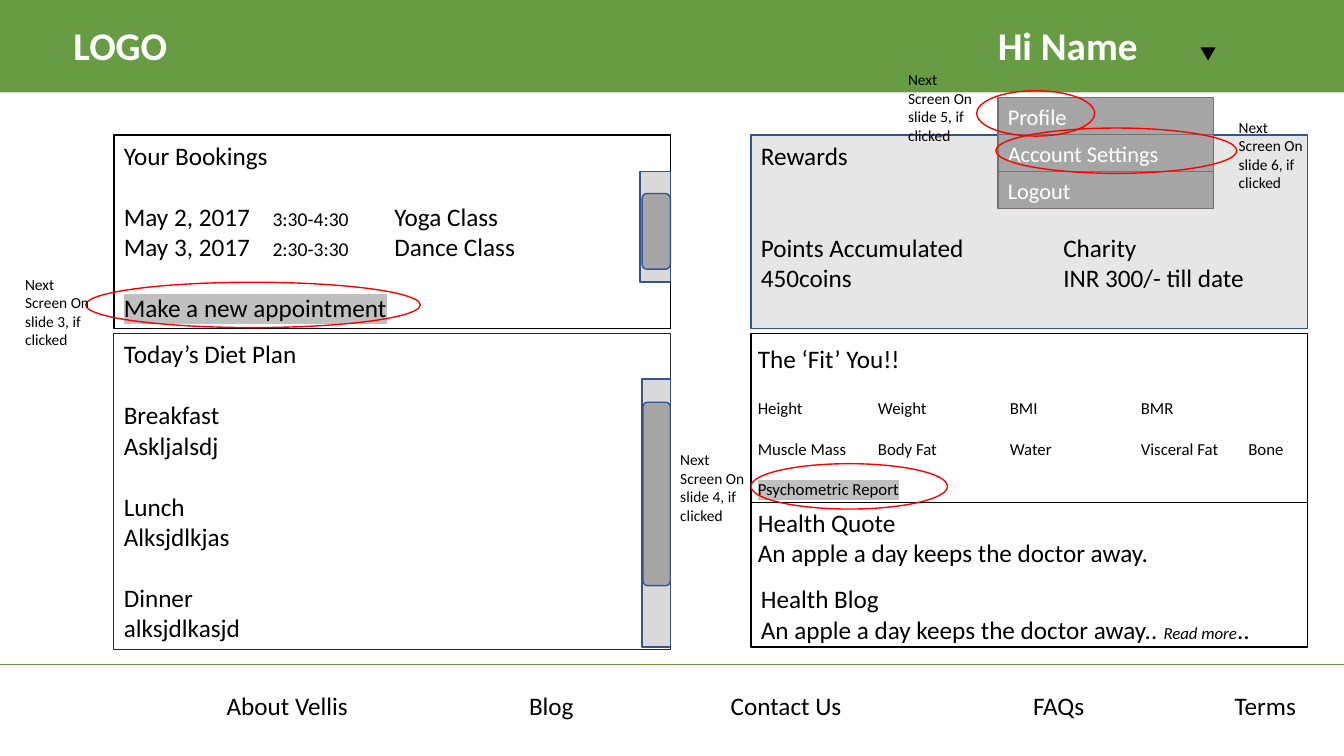
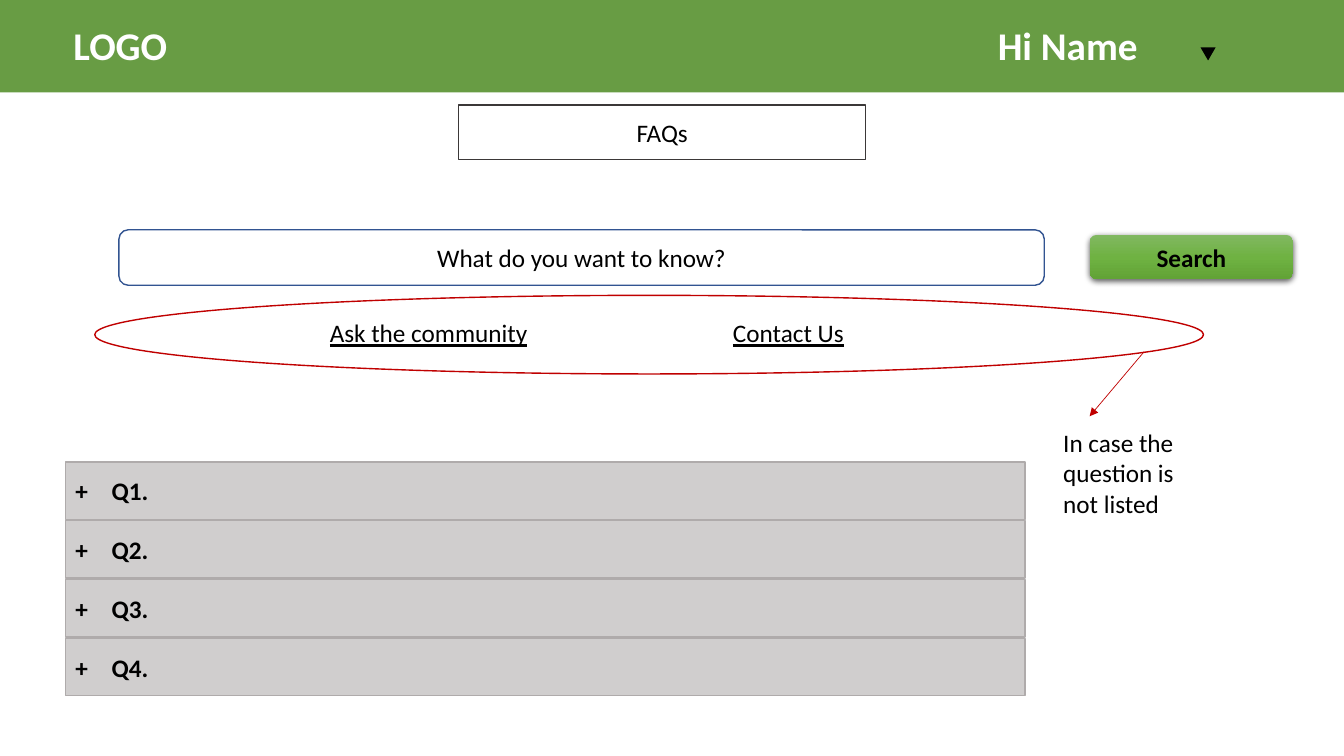
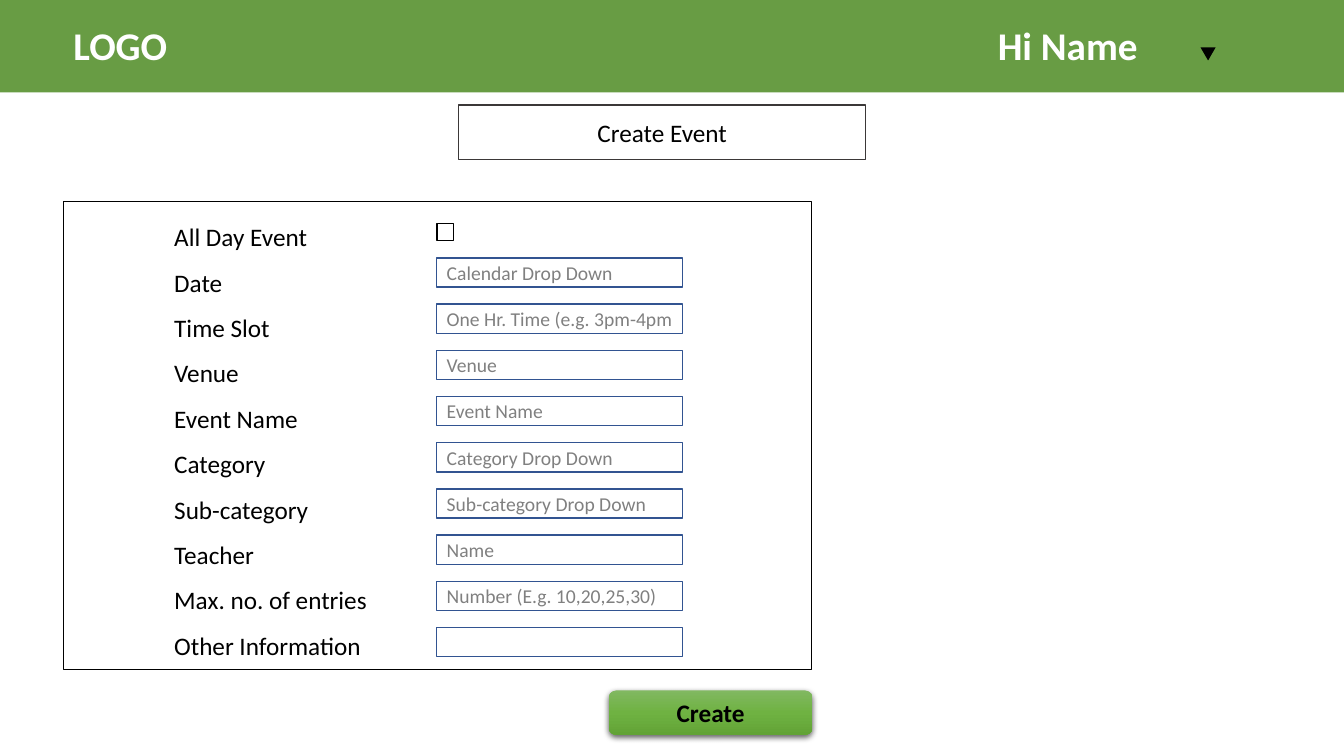
from lxml.etree import SubElement
from copy import deepcopy
from pptx import Presentation
from pptx.dml.color import RGBColor
from pptx.enum.shapes import MSO_CONNECTOR, MSO_SHAPE
from pptx.enum.text import MSO_ANCHOR, PP_ALIGN
from pptx.oxml.ns import qn
from pptx.util import Emu, Pt

COLUMNS, ROWS = 160, 90
CELL = 76200
FONT = "Calibri"
LINE = 22
CARD_WIDTH = 66.24
LEFT_CARD, RIGHT_CARD = 13.56, 89.4
TOP_CARD, LOWER_CARD = 16.08, 39.72
COLORS = {
    "brand": "689C44", "white": "FFFFFF", "black": "000000",
    "blue": "325491", "panel": "E7E6E6", "grey": "A6A6A6",
    "menu_edge": "767171", "track": "D9D9D9", "charcoal": "262626",
    "title_edge": "3B3838", "mark": "C0C0C0", "red": "FF0000",
    "dark_red": "C00000", "question": "D0CECE", "question_edge": "AFABAB",
    "hint": "808080", "button_top": "81B861", "button_mid": "6FB242",
    "button_low": "62A336",
}


def rgb(name):
    return RGBColor.from_string(COLORS[name])


def cells(*counts):
    return [Emu(round(count * CELL)) for count in counts]


def set_tabs(paragraph, stops):
    tab_list = SubElement(paragraph._p.get_or_add_pPr(), qn("a:tabLst"))
    for stop in stops:
        SubElement(tab_list, qn("a:tab"), pos=str(round(stop * CELL)), algn="l")


def add_run(paragraph, text, size, color, bold=False, italic=False,
            underline=False, highlight=None):
    run = paragraph.add_run()
    run.text = text
    font = run.font
    font.size, font.bold, font.italic = Pt(size), bold, italic
    font.underline = underline
    font.color.rgb = rgb(color)
    font.name = FONT
    if highlight:
        mark = SubElement(run._r.rPr, qn("a:highlight"))
        SubElement(mark, qn("a:srgbClr"), val=COLORS[highlight])
        run._r.rPr.find(qn("a:solidFill")).addnext(mark)


def write(shape, paragraphs, size=18, color="black", bold=False,
          align=PP_ALIGN.LEFT, anchor=MSO_ANCHOR.TOP, tabs=(), gaps=None,
          sizes=None, spacing=None):
    frame = shape.text_frame
    frame.word_wrap = True
    frame.vertical_anchor = anchor
    for index, content in enumerate(paragraphs):
        paragraph = frame.paragraphs[0] if index == 0 else frame.add_paragraph()
        paragraph.alignment = align
        if spacing:
            paragraph.line_spacing = spacing
        if gaps and index in gaps:
            paragraph.space_before = Pt(gaps[index])
        if tabs:
            set_tabs(paragraph, tabs)
        base = {"size": sizes[index] if sizes else size,
                "color": color, "bold": bold}
        runs = [(content, {})] if isinstance(content, str) else content
        for text, changes in runs:
            add_run(paragraph, text, **{**base, **changes})


def add_text(slide, box, paragraphs, **style):
    write(slide.shapes.add_textbox(*cells(*box)), paragraphs, **style)


def add_box(slide, box, fill=None, edge=None, width=1,
            kind=MSO_SHAPE.RECTANGLE, paragraphs=(), **style):
    shape = slide.shapes.add_shape(kind, *cells(*box))
    shape.shadow.inherit = False
    if fill:
        shape.fill.solid()
        shape.fill.fore_color.rgb = rgb(fill)
    else:
        shape.fill.background()
    if edge:
        shape.line.color.rgb = rgb(edge)
        shape.line.width = Pt(width)
    else:
        shape.line.fill.background()
    if paragraphs:
        write(shape, paragraphs, **style)
    return shape


def add_line(slide, start, end, color, width, arrow=False):
    line = slide.shapes.add_connector(
        MSO_CONNECTOR.STRAIGHT, *cells(*start, *end))
    line.line.color.rgb = rgb(color)
    line.line.width = Pt(width)
    if arrow:
        SubElement(line.line._get_or_add_ln(), qn("a:tailEnd"), type="triangle")
    SubElement(line._element.spPr, qn("a:effectLst"))


def add_ring(slide, box, color="red"):
    add_box(slide, box, edge=color, kind=MSO_SHAPE.OVAL)


def add_scrollbar(slide, track, thumb):
    add_box(slide, track, "track", "blue")
    add_box(slide, thumb, "grey", "blue", kind=MSO_SHAPE.ROUNDED_RECTANGLE)


def add_button(slide, left, top, label):
    button = add_box(slide, (left, top, 24.24, 5.28),
                     kind=MSO_SHAPE.ROUNDED_RECTANGLE, paragraphs=[label],
                     bold=True, align=PP_ALIGN.CENTER, anchor=MSO_ANCHOR.MIDDLE)
    button.fill.gradient()
    button.fill.gradient_angle = 270
    properties = button._element.spPr
    stop_list = properties.find(".//" + qn("a:gsLst"))
    stop_list.insert(1, deepcopy(stop_list[0]))
    shades = ("button_top", "button_mid", "button_low")
    for index, stop in enumerate(button.fill.gradient_stops):
        stop.color.rgb = rgb(shades[index])
        stop.position = index / 2
    shadow = SubElement(properties.find(qn("a:effectLst")), qn("a:outerShdw"),
                        blurRad=str(Pt(4.5)), dist=str(Pt(1.5)), dir="5400000",
                        algn="ctr", rotWithShape="0")
    shade = SubElement(shadow, qn("a:srgbClr"), val=COLORS["black"])
    SubElement(shade, qn("a:alpha"), val="63000")


def add_page(deck, title=None):
    slide = deck.slides.add_slide(deck.slide_layouts[6])
    add_box(slide, (0, 0, COLUMNS, 11), "brand")
    for left, label in ((7.56, "LOGO"), (117.6, "Hi Name")):
        add_text(slide, (left, 2, 24.12, 6.84), [label],
                 size=28, color="white", bold=True)
    arrow = add_box(slide, (142.92, 5.64, 1.8, 1.56), "black",
                    kind=MSO_SHAPE.ISOSCELES_TRIANGLE)
    arrow.rotation = 180
    if title:
        add_box(slide, (54.6, 12.48, 48.48, 6.48), "white", "title_edge",
                paragraphs=[title], align=PP_ALIGN.CENTER,
                anchor=MSO_ANCHOR.MIDDLE)
    return slide


def add_left_cards(slide):
    small = {"size": 14}
    bookings = [
        "Your Bookings",
        [("May 2, 2017\t", {}), ("3:30-4:30\t", small), ("Yoga Class", {})],
        [("May 3, 2017\t", {}), ("2:30-3:30\t", small), ("Dance Class", {})],
        [("Make a new appointment", {"highlight": "mark"})],
    ]
    add_box(slide, (LEFT_CARD, TOP_CARD, CARD_WIDTH, 23.04), "white", "black",
            paragraphs=bookings, tabs=(17.7, 32.2), gaps={1: LINE, 3: LINE})
    diet = ["Today’s Diet Plan", "Breakfast", "Askljalsdj", "Lunch",
            "Alksjdlkjas", "Dinner", "alksjdlkasjd"]
    add_box(slide, (LEFT_CARD, LOWER_CARD, CARD_WIDTH, 37.56),
            edge="charcoal", width=0.75, paragraphs=diet,
            gaps={1: LINE, 3: LINE, 5: LINE})
    add_scrollbar(slide, (76.2, 20.4, 3.6, 13.2), (76.44, 23.04, 3.36, 9))
    add_scrollbar(slide, (76.44, 45.12, 3.36, 31.92),
                  (76.56, 47.88, 3.24, 21.84))


def add_right_cards(slide):
    add_box(slide, (RIGHT_CARD, TOP_CARD, CARD_WIDTH, 23.04), "panel", "blue",
            paragraphs=["Rewards", "Points Accumulated\tCharity",
                        "450coins\tINR 300/- till date"],
            tabs=(36,), gaps={1: 2 * LINE})
    for index, entry in enumerate(("Profile", "Account Settings", "Logout")):
        add_box(slide, (118.8, 11.64 + 4.4 * index, 25.68, 4.4), "grey",
                "menu_edge", paragraphs=[entry], size=16, color="white",
                anchor=MSO_ANCHOR.MIDDLE)
    add_box(slide, (RIGHT_CARD, LOWER_CARD, CARD_WIDTH, 37.32), edge="black")
    add_line(slide, (RIGHT_CARD, 59.76), (RIGHT_CARD + CARD_WIDTH, 59.76),
             "black", 0.5)
    fitness = ["The ‘Fit’ You!!", "Height\tWeight\tBMI\tBMR",
               "Muscle Mass\tBody Fat\tWater\tVisceral Fat\tBone",
               [("Psychometric Report", {"highlight": "mark"})]]
    add_text(slide, (89.04, 40.32, 66, 19.8), fitness, sizes=(18, 12, 12, 12),
             tabs=(14.3, 30, 45.6, 58.4), gaps={1: 17, 2: 14.6, 3: 14.6})
    quote = "An apple a day keeps the doctor away."
    add_text(slide, (89.04, 59.76, CARD_WIDTH, 8.52), ["Health Quote", quote])
    add_text(slide, (RIGHT_CARD, 68.88, CARD_WIDTH, 8.52),
             ["Health Blog",
              [(quote + ". ", {}), ("Read more", {"size": 12, "italic": True}),
               ("..", {})]])


def build_dashboard(deck):
    slide = add_page(deck)
    add_left_cards(slide)
    add_right_cards(slide)
    for ring in ((10.2, 33.6, 39.84, 5.4), (89.4, 55.2, 23.4, 5.4),
                 (116.28, 10.8, 14.04, 5.4), (118.56, 15.24, 28.68, 5.4)):
        add_ring(slide, ring)
    notes = ((1.8, 32.16), (79.8, 53.04), (106.92, 7.8), (146.28, 13.44))
    for number, (left, top) in enumerate(notes, 3):
        add_text(slide, (left, top, 10.68, 10.08),
                 [f"Next Screen On slide {number}, if clicked"], size=11)
    add_line(slide, (0, 79.08), (COLUMNS, 79.08), "brand", 1)
    add_text(slide, (25.8, 81.6, 134.16, 4.8),
             ["About Vellis\tBlog\tContact Us\tFAQs\tTerms"],
             tabs=(36, 60, 96, 120))


def build_faqs(deck):
    slide = add_page(deck, "FAQs")
    add_box(slide, (14.16, 27.36, 110.16, 6.6), edge="blue",
            kind=MSO_SHAPE.ROUNDED_RECTANGLE,
            paragraphs=["What do you want to know?"],
            align=PP_ALIGN.CENTER, anchor=MSO_ANCHOR.MIDDLE)
    add_button(slide, 129.72, 27.96, "Search")
    link = {"underline": True}
    add_text(slide, (19.68, 37.2, 100.32, 4.8),
             [[("\t", {}), ("Ask the community", link), ("\t", {}),
               ("Contact Us", link)]], tabs=(18.4, 66.4))
    add_ring(slide, (11.28, 35.16, 132, 9.36), "dark_red")
    add_line(slide, (136.2, 41.88), (129.72, 49.56), "dark_red", 0.5, arrow=True)
    add_text(slide, (125.4, 50.28, 15.96, 12.12),
             ["In case the question is not listed"])
    for index in range(4):
        add_box(slide, (7.8, 55 + 7 * index, 114.24, 6.84), "question",
                "question_edge", paragraphs=[f"+\tQ{index + 1}."], bold=True,
                anchor=MSO_ANCHOR.MIDDLE, tabs=(4.3,))


def build_event_form(deck):
    slide = add_page(deck, "Create Event")
    fields = (("Date", "Calendar Drop Down"),
              ("Time Slot", "One Hr. Time (e.g. 3pm-4pm"),
              ("Venue", "Venue"), ("Event Name", "Event Name"),
              ("Category", "Category Drop Down"),
              ("Sub-category", "Sub-category Drop Down"),
              ("Teacher", "Name"),
              ("Max. no. of entries", "Number (E.g. 10,20,25,30)"),
              ("Other Information", ""))
    labels = ["All Day Event"] + [label for label, hint in fields]
    add_box(slide, (7.56, 24, 89.04, 55.68), edge="black", width=0.75,
            paragraphs=["\t" + label for label in labels],
            tabs=(12,), spacing=1.5)
    add_box(slide, (52, 26.64, 2, 2), edge="black")
    for index, (label, hint) in enumerate(fields):
        add_box(slide, (52, 30.7 + 5.5 * index, 29.28, 3.48), "white", "blue",
                paragraphs=[hint] if hint else (), size=14, color="hint",
                anchor=MSO_ANCHOR.MIDDLE)
    add_button(slide, 72.48, 82.2, "Create")


def main():
    deck = Presentation()
    deck.slide_width, deck.slide_height = cells(COLUMNS, ROWS)
    build_dashboard(deck)
    build_faqs(deck)
    build_event_form(deck)
    deck.save("out.pptx")


main()
